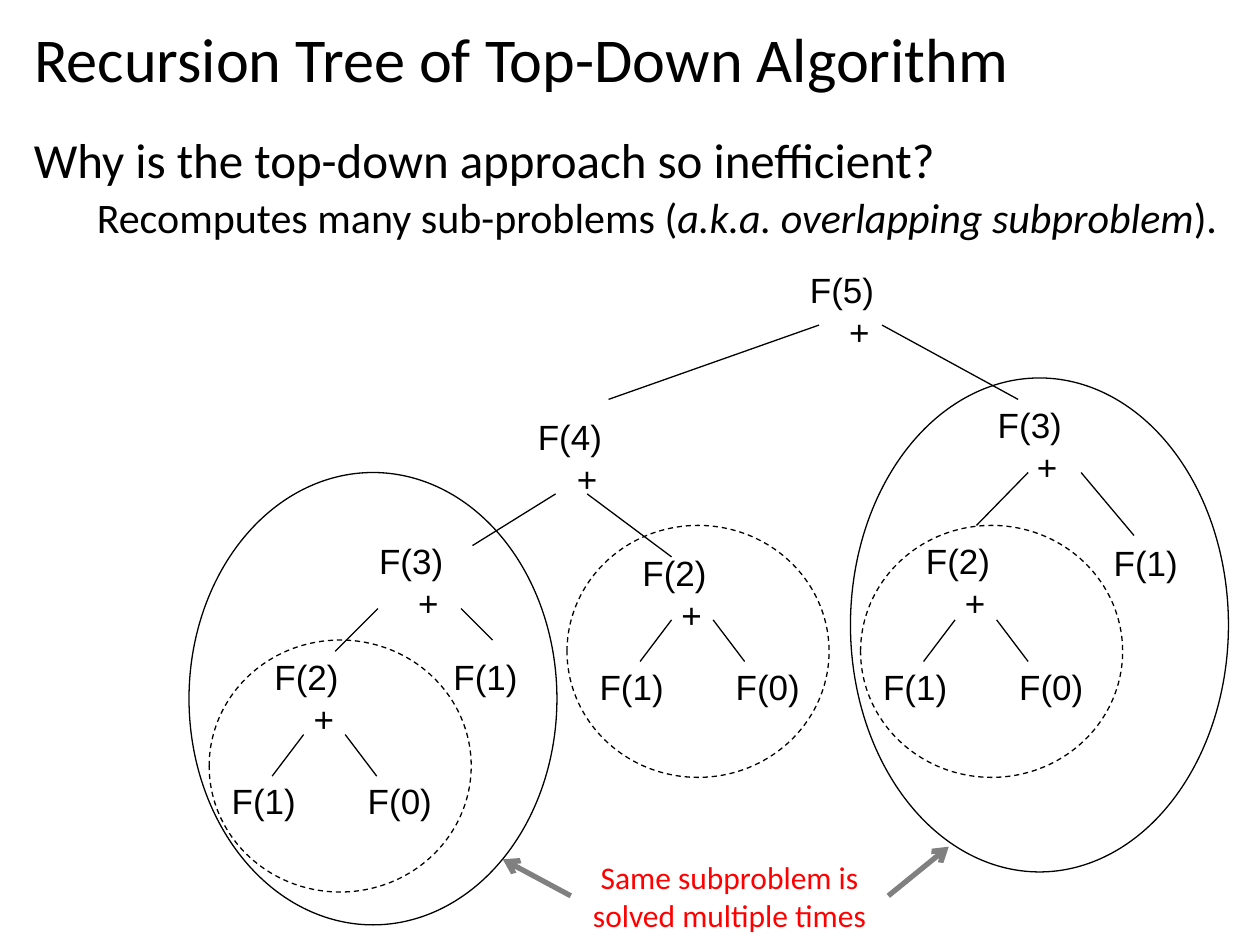
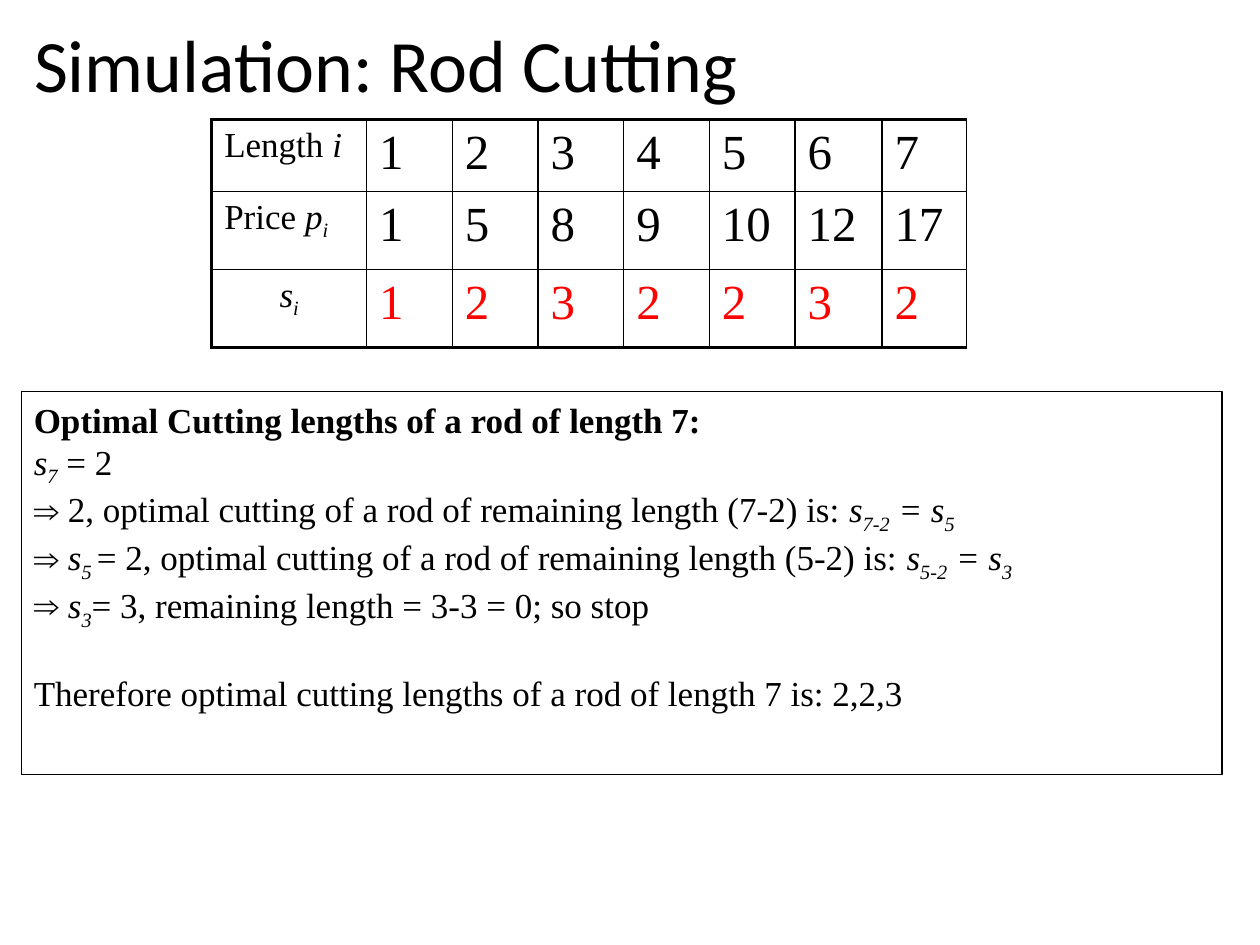
import dataclasses

import lxml.etree
import pptx
import pptx.dml.color
import pptx.enum.dml
import pptx.enum.shapes
import pptx.enum.text
import pptx.oxml.ns
import pptx.util

Inches, Pt = pptx.util.Inches, pptx.util.Pt
qn = pptx.oxml.ns.qn
ALIGN = pptx.enum.text.PP_ALIGN
SHAPE = pptx.enum.shapes.MSO_SHAPE


@dataclasses.dataclass(frozen=True)
class Theme:
    ink: str = "000000"
    accent: str = "FF0000"
    arrow: str = "808080"
    heading_font: str = "Calibri"
    tree_font: str = "Arial"
    serif_font: str = "Times New Roman"
    question: float = 28
    answer: float = 24
    text: float = 20
    caption: float = 18
    thin: float = 0.75
    thick: float = 3
    grid: float = 0.96
    frame: float = 2.21


T = Theme()

# Content: runs are (text, marks), where b = bold, i = italic, _ = subscript
TREE_TITLE = ("Recursion Tree of Top-Down Algorithm", 35.6)
QUESTION = [("Why is the top-down approach so inefficient?", "")]
ANSWER = [("Recomputes many sub-problems (", ""),
          ("a.k.a. overlapping subproblem", "i"), (").", "")]
CAPTION = [("Same subproblem is solved multiple times", "")]

# Upper tree: (label, left, top, has a sum below it)
UPPER_NODES = [("F(5)", 6.33, 2.08, True), ("F(4)", 4.17, 3.25, True),
               ("F(3)", 7.82, 3.15, True), ("F(3)", 2.91, 4.23, True),
               ("F(1)", 8.74, 4.25, False), ("F(1)", 3.5, 5.15, False)]
UPPER_EDGES = [(6.5, 2.58, 4.83, 3.17), (7, 2.58, 8.08, 3.17),
               (4.41, 3.92, 3.75, 4.33), (4.66, 3.92, 5.33, 4.42),
               (8.16, 3.75, 7.75, 4.17), (8.58, 3.75, 9, 4.25),
               (3, 4.83, 2.66, 5.17), (3.66, 4.83, 3.91, 5.08)]
# F(2) subtrees: (fork x, fork y, label rise above fork, ring left)
F2_SUBTREES = [(2.41, 5.83, 0.68, 1.66), (5.33, 4.92, 0.59, 4.5),
               (7.58, 4.92, 0.69, 6.83)]
F3_RINGS = [(1.5, 3.75, 2.92, 3.59), (6.75, 3, 3, 3.92)]
CAPTION_ARROWS = [(4.53, 7.11, 3.99, 6.82), (7.05, 7.11, 7.53, 6.72)]

ROD_TITLE = ("Simulation: Rod Cutting", 42.2)
ROD_ROWS = [
    ([("Length ", ""), ("i", "i")], [1, 2, 3, 4, 5, 6, 7]),
    ([("Price ", ""), ("p", "i"), ("i", "i_")], [1, 5, 8, 9, 10, 12, 17]),
    ([("s", "i"), ("i", "i_")], [1, 2, 3, 2, 2, 3, 2]),
]
ROD_COLS = [1.23] + [0.68] * 5 + [0.69, 0.67]
ROD_HEIGHTS = [0.57, 0.62, 0.62]
# Paragraphs of the worked solution: (runs, format)
STEP = dict(bullet="⇒", hang=-0.24)
SOLUTION = [
    ([("Optimal Cutting lengths of a rod of length 7:", "b")], {}),
    ([("s", "i"), ("7", "i_"), (" = 2", "")], {}),
    ([(" 2, optimal cutting of a rod of remaining length (7-2) is: ", ""),
      ("s", "i"), ("7-2", "i_"), (" = s", "i"), ("5", "i_")], STEP),
    ([(" ", ""), ("s", "i"), ("5 ", "i_"),
      ("= 2, optimal cutting of a rod of remaining length (5-2) is: ", ""),
      ("s", "i"), ("5-2", "i_"), (" = s", "i"), ("3", "i_")], STEP),
    ([(" ", ""), ("s", "i"), ("3", "i_"),
      ("= 3, remaining length = 3-3 = 0; so stop", "")], STEP),
    ([("Therefore optimal cutting lengths of a rod of length 7 is: 2,2,3", "")],
     dict(before=23)),
]


# Helpers
def rgb(color):
    return pptx.dml.color.RGBColor.from_string(color)


def write(p, runs, size=T.text, font=T.serif_font, color=T.ink, align=ALIGN.LEFT,
          spacing=None, before=0, left=0, hang=0, bullet=None):
    """Fill one paragraph with marked runs."""
    pPr = p._p.get_or_add_pPr()
    pPr.set("marL", str(Inches(left)))
    pPr.set("indent", str(Inches(hang)))
    if bullet:
        lxml.etree.SubElement(pPr, qn("a:buFont"), typeface=font)
        lxml.etree.SubElement(pPr, qn("a:buChar"), char=bullet)
    p.alignment, p.space_before = align, Pt(before)
    if spacing:
        p.line_spacing = spacing
    for text, marks in runs:
        r = p.add_run()
        r.text = text
        f = r.font
        f.size, f.name, f.color.rgb = Pt(size), font, rgb(color)
        f.bold, f.italic = "b" in marks, "i" in marks
        if "_" in marks:
            r._r.get_or_add_rPr().set("baseline", "-25000")


def write_all(tf, paragraphs, wrap=True):
    tf.word_wrap = wrap
    tf.vertical_anchor = pptx.enum.text.MSO_ANCHOR.TOP
    for n, (runs, fmt) in enumerate(paragraphs):
        write(tf.paragraphs[0] if n == 0 else tf.add_paragraph(), runs, **fmt)


def add_text(s, box, paragraphs, wrap=True):
    write_all(s.shapes.add_textbox(*map(Inches, box)).text_frame, paragraphs, wrap)


def add_titled_slide(prs, text, size):
    s = prs.slides.add_slide(prs.slide_layouts[5])
    sp = s.shapes.title
    sp.left, sp.top, sp.width, sp.height = map(Inches, (0.17, 0.18, 9.62, 0.74))
    write_all(sp.text_frame, [([(text, "")], dict(
        size=size, font=T.heading_font, spacing=0.9))])
    sp.text_frame.auto_size = pptx.enum.text.MSO_AUTO_SIZE.NONE
    return s


def add_line(s, ends, color=T.ink, width=T.thin, arrow=False):
    c = s.shapes.add_connector(pptx.enum.shapes.MSO_CONNECTOR.STRAIGHT,
                               *map(Inches, ends))
    c.line.color.rgb, c.line.width = rgb(color), Pt(width)
    if arrow:
        lxml.etree.SubElement(c.line._get_or_add_ln(), qn("a:tailEnd"), type="arrow")
    lxml.etree.SubElement(c._element.spPr, qn("a:effectLst"))


def add_outline(s, kind, box, dashed=False):
    sp = s.shapes.add_shape(kind, *map(Inches, box))
    sp.shadow.inherit = False
    sp.fill.background()
    sp.line.color.rgb, sp.line.width = rgb(T.ink), Pt(T.thin)
    if dashed:
        sp.line.dash_style = pptx.enum.dml.MSO_LINE.DASH
    return sp


def add_node(s, label, x, y, has_sum=False):
    fmt = dict(font=T.tree_font)
    lines = [([(label, "")], fmt)]
    if has_sum:
        lines.append(([("+", "")], dict(fmt, left=0.31)))
    add_text(s, (x, y, 0.71, 0.76 if has_sum else 0.43), lines, wrap=False)


def set_borders(cell, widths):
    tcPr = cell._tc.get_or_add_tcPr()
    for n, (side, width) in enumerate(zip("LRTB", widths)):
        ln = lxml.etree.Element(qn("a:ln" + side), w=str(Pt(width)))
        fill = lxml.etree.SubElement(ln, qn("a:solidFill"))
        lxml.etree.SubElement(fill, qn("a:srgbClr"), val=T.ink)
        tcPr.insert(n, ln)


# Slides
def build_recursion_tree(prs):
    s = add_titled_slide(prs, *TREE_TITLE)
    body = dict(font=T.heading_font, spacing=0.9)
    add_text(s, (0.17, 1.03, 9.62, 1), [
        (QUESTION, dict(body, size=T.question)),
        (ANSWER, dict(body, size=T.answer, before=5, left=0.5))])

    for node in UPPER_NODES:
        add_node(s, *node)
    for ends in UPPER_EDGES:
        add_line(s, ends)

    # Each F(2) hangs its two leaves from a fork
    for x, y, rise, ring_left in F2_SUBTREES:
        add_node(s, "F(2)", x - 0.33, y - rise, True)
        add_node(s, "F(1)", x - 0.67, y + 0.31)
        add_node(s, "F(0)", x + 0.41, y + 0.31)
        add_line(s, (x, y, x - 0.25, y + 0.33))
        add_line(s, (x + 0.33, y, x + 0.58, y + 0.33))
        add_outline(s, SHAPE.OVAL, (ring_left, y - 0.75, 2.08, 2), dashed=True)
    for ring in F3_RINGS:
        add_outline(s, SHAPE.OVAL, ring)

    add_text(s, (4.53, 6.76, 2.52, 0.7), [(CAPTION, dict(
        size=T.caption, font=T.heading_font, color=T.accent, align=ALIGN.CENTER))])
    for ends in CAPTION_ARROWS:
        add_line(s, ends, T.arrow, T.thick, arrow=True)


def build_rod_cutting(prs):
    s = add_titled_slide(prs, *ROD_TITLE)
    sp = add_outline(s, SHAPE.RECTANGLE, (0.17, 3.11, 9.53, 3.04))
    write_all(sp.text_frame, SOLUTION)

    # Price table, with the cut row in the accent colour
    table = s.shapes.add_table(len(ROD_ROWS), len(ROD_COLS),
                               *map(Inches, (1.68, 0.95, 6, 1.81))).table
    table.first_row = table.horz_banding = False
    for col, width in zip(table.columns, ROD_COLS):
        col.width = Inches(width)
    for row, height in zip(table.rows, ROD_HEIGHTS):
        row.height = Inches(height)
    last = len(ROD_ROWS) - 1
    for i, (label, values) in enumerate(ROD_ROWS):
        for j, runs in enumerate([label] + [[(str(v), "")] for v in values]):
            cell = table.cell(i, j)
            cell.fill.background()
            set_borders(cell, (T.grid if j else T.frame, T.grid,
                               T.grid if i else T.frame,
                               T.frame if i == last else T.grid))
            write(cell.text_frame.paragraphs[0], runs,
                  size=T.question if j else T.text,
                  color=T.accent if j and i == last else T.ink,
                  align=ALIGN.CENTER if i == last and not j else ALIGN.LEFT)


def main():
    prs = pptx.Presentation()
    prs.slide_width, prs.slide_height = Inches(10), Inches(7.5)
    build_recursion_tree(prs)
    build_rod_cutting(prs)
    prs.save("out.pptx")


if __name__ == "__main__":
    main()
